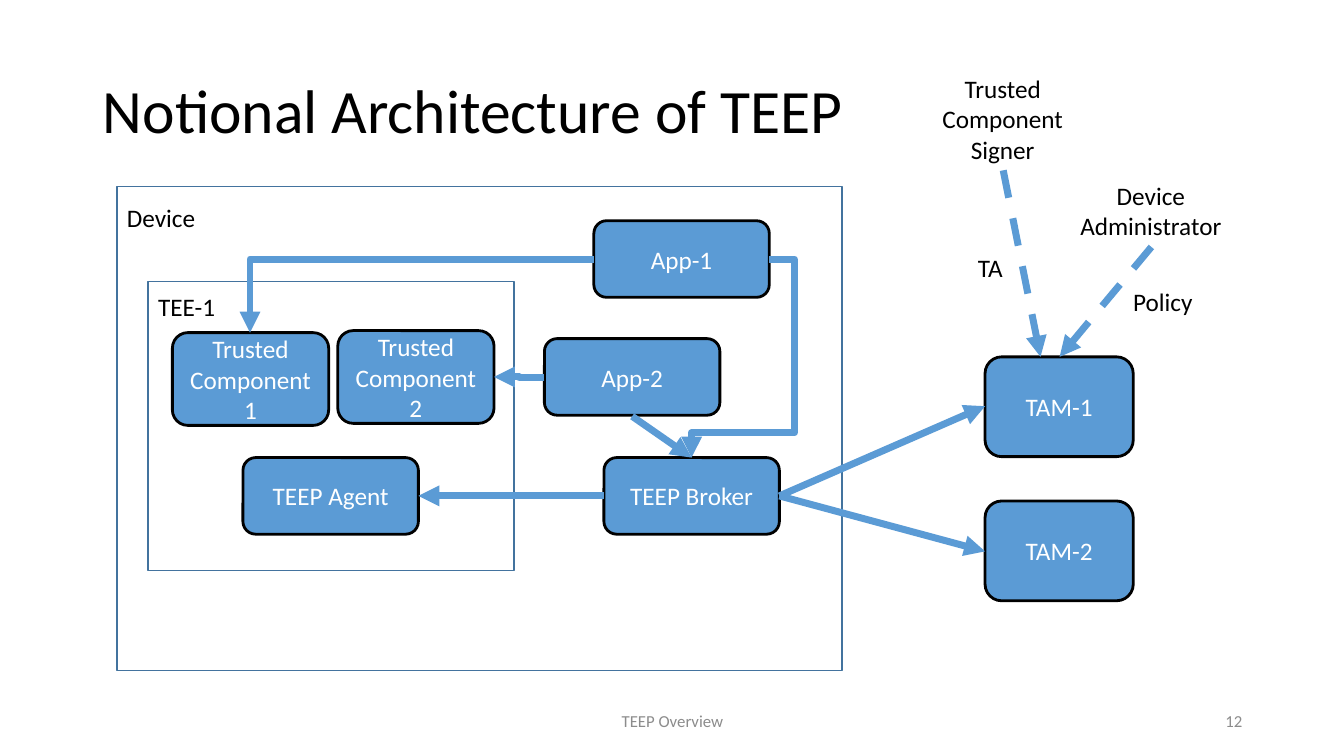
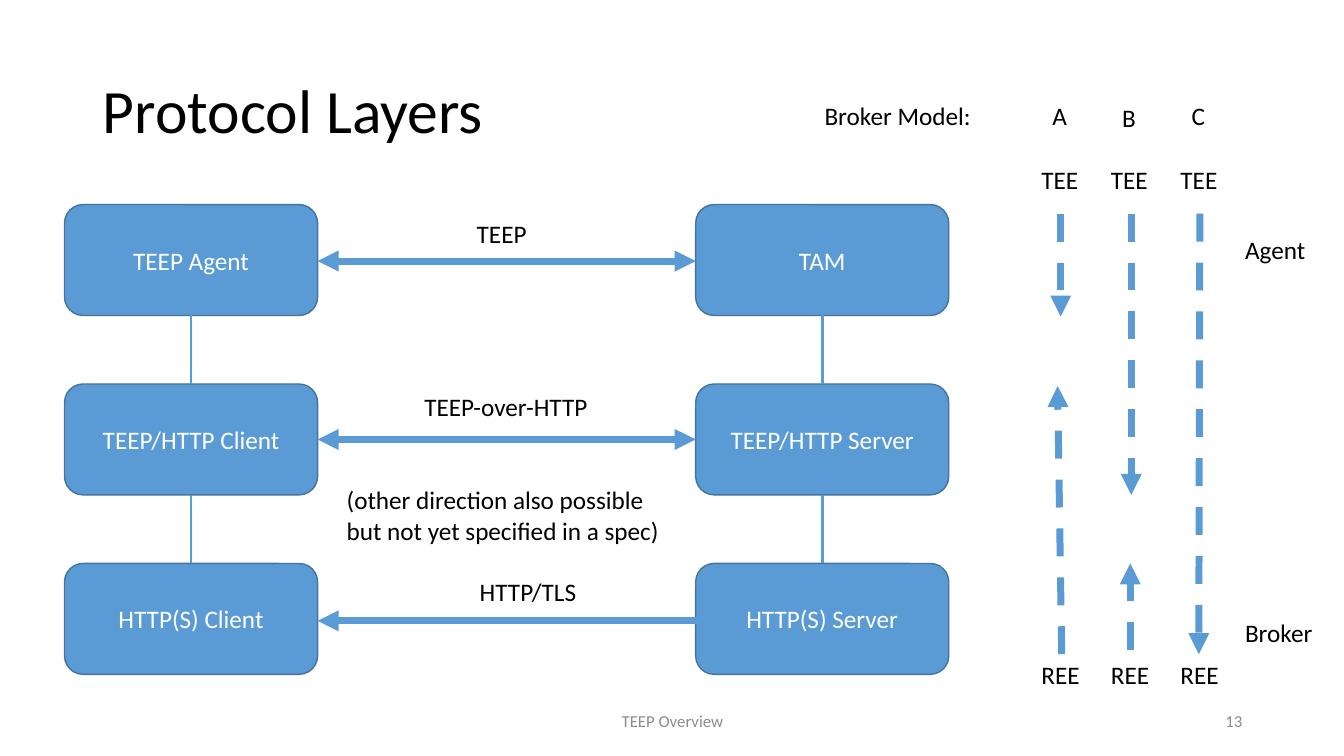
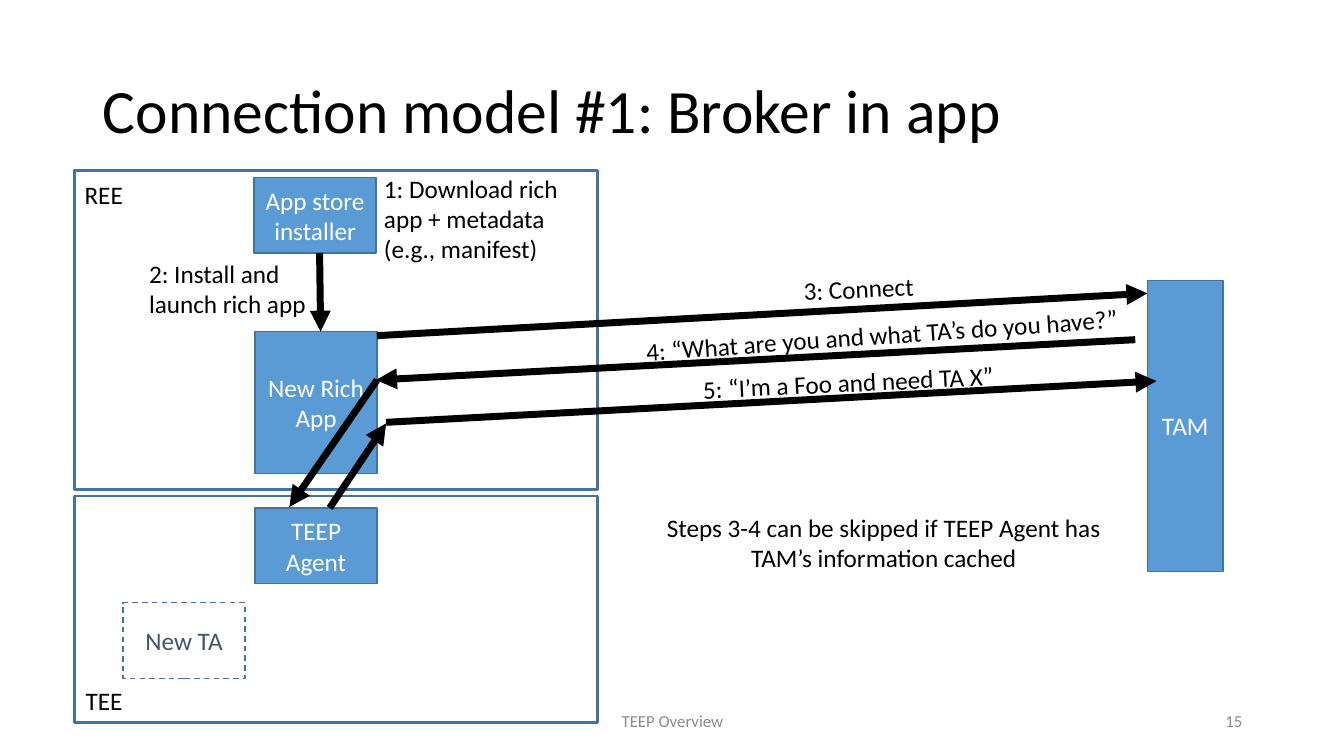
import dataclasses

import lxml.etree
import pptx
import pptx.dml.color
import pptx.enum.dml
import pptx.enum.shapes
import pptx.enum.text
import pptx.oxml.ns
import pptx.util

Inches = pptx.util.Inches
Pt = pptx.util.Pt
Color = pptx.dml.color.RGBColor.from_string
Align = pptx.enum.text.PP_ALIGN
Anchor = pptx.enum.text.MSO_ANCHOR
Form = pptx.enum.shapes.MSO_SHAPE
DASH = pptx.enum.dml.MSO_LINE.DASH
qn = pptx.oxml.ns.qn


@dataclasses.dataclass(frozen=True)
class Theme:
    font: str = "Calibri"
    blue: str = "5B9BD5"
    edge: str = "43739E"
    ink: str = "000000"
    white: str = "FFFFFF"
    slate: str = "44546A"
    gray: str = "8C8C8C"
    title_size: int = 44
    body_size: int = 18
    footer_size: int = 12
    arrow_width: int = 5


theme = Theme()


def add_box(page, words, at, form=None, fill=None, edge=theme.edge, weight=1,
            dash=None, color=theme.ink, size=theme.body_size, align=Align.CENTER,
            anchor=Anchor.MIDDLE, wrap=True, turn=0, top=0.05):
    """Add a shape with centred text, or a plain text box when form is None."""
    place = [Inches(length) for length in at]
    if form is None:
        box = page.shapes.add_textbox(*place)
    else:
        box = page.shapes.add_shape(form, *place)
        box.shadow.inherit = False
        box.line.color.rgb = Color(edge)
        box.line.width = Pt(weight)
        if dash:
            box.line.dash_style = dash
        if fill:
            box.fill.solid()
            box.fill.fore_color.rgb = Color(fill)
        else:
            box.fill.background()
    box.rotation = turn
    frame = box.text_frame
    frame.text = words
    frame.word_wrap = wrap
    frame.vertical_anchor = anchor
    frame.margin_top = Inches(top)
    for para in frame.paragraphs:
        para.alignment = align
        for span in para.runs:
            span.font.name = theme.font
            span.font.size = Pt(size)
            span.font.color.rgb = Color(color)


def add_line(page, start, end, color=theme.blue, weight=theme.arrow_width,
             dash=None, ends=("tail",), bend=None, adjust=()):
    """Add a straight or bent connector; ends names the arrowheads."""
    kinds = pptx.enum.shapes.MSO_CONNECTOR
    line = page.shapes.add_connector(
        kinds.ELBOW if bend else kinds.STRAIGHT,
        *[Inches(length) for length in (*start, *end)])
    line.line.color.rgb = Color(color)
    line.line.width = Pt(weight)
    if dash:
        line.line.dash_style = dash
    properties = line.element.spPr
    for name in ends:
        lxml.etree.SubElement(properties.find(qn("a:ln")), qn(f"a:{name}End"),
                              type="triangle")
    if bend:
        geometry = properties.find(qn("a:prstGeom"))
        geometry.set("prst", bend)
        guides = geometry.find(qn("a:avLst"))
        for number, value in enumerate(adjust, 1):
            lxml.etree.SubElement(guides, qn("a:gd"), name=f"adj{number}",
                                  fmla=f"val {value}")
    lxml.etree.SubElement(properties, qn("a:effectLst"))


deck = pptx.Presentation()
deck.slide_width = Inches(13.33)
deck.slide_height = Inches(7.5)

# Titles, footers and page numbers
pages = []
for title_words, number in [("Notional Architecture of TEEP", "12"),
                            ("Protocol Layers", "13"),
                            ("Connection model #1: Broker in app", "15")]:
    page = deck.slides.add_slide(deck.slide_layouts[5])
    pages.append(page)
    title = page.shapes.title
    title.left, title.top = Inches(0.92), Inches(0.4)
    title.width, title.height = Inches(11.5), Inches(1.45)
    title.text_frame.text = title_words
    title.text_frame.auto_size = pptx.enum.text.MSO_AUTO_SIZE.NONE
    title.text_frame.vertical_anchor = Anchor.MIDDLE
    para = title.text_frame.paragraphs[0]
    para.alignment = Align.LEFT
    para.line_spacing = 0.9
    span = para.runs[0]
    span.font.name = theme.font
    span.font.size = Pt(theme.title_size)
    span.font.color.rgb = Color(theme.ink)
    footer = dict(color=theme.gray, size=theme.footer_size)
    add_box(page, "TEEP Overview", (4.42, 6.95, 4.5, 0.4), **footer)
    add_box(page, number, (9.42, 6.95, 3, 0.4), align=Align.RIGHT, **footer)

architecture, layers, connection = pages
label = dict(align=Align.LEFT, anchor=Anchor.TOP, wrap=False)
caption = dict(anchor=Anchor.TOP)

# Architecture: device and TEE frames
for words, at, top in [("Device", (1.16, 1.85, 7.19, 4.8), 0.16),
                       ("TEE-1", (1.47, 2.79, 3.63, 2.87), 0.1)]:
    add_box(architecture, words, at, Form.RECTANGLE, align=Align.LEFT,
            anchor=Anchor.TOP, top=top)

# Architecture: components
module_size, component_size, tam_size = (1.74, 0.76), (1.55, 0.92), (1.47, 0.99)
for words, corner, extent in [
        ("TAM-1", (9.77, 3.54), tam_size),
        ("TAM-2", (9.77, 4.97), tam_size),
        ("TEEP Agent", (2.41, 4.54), module_size),
        ("TEEP Broker", (5.99, 4.54), module_size),
        ("App-1", (5.89, 2.19), module_size),
        ("App-2", (5.4, 3.36), module_size),
        ("Trusted Component 1", (1.71, 3.3), component_size),
        ("Trusted Component 2", (3.35, 3.28), component_size)]:
    add_box(architecture, words, corner + extent, Form.ROUNDED_RECTANGLE,
            theme.blue, theme.ink, 2, color=theme.white)

# Architecture: straight and bent arrows
broker_top, broker_right = (6.86, 4.54), (7.73, 4.92)
for start, end in [(broker_right, (9.77, 4.03)), (broker_right, (9.77, 5.47)),
                   ((5.99, 4.92), (4.15, 4.92)), ((6.27, 4.13), broker_top)]:
    add_line(architecture, start, end)
for start, end, bend, adjust in [
        ((5.89, 2.57), (2.48, 3.3), "bentConnector2", ()),
        ((5.4, 3.75), (4.9, 3.74), "bentConnector3", ()),
        ((7.63, 2.57), broker_top, "bentConnector4", (-32400, 87500))]:
    add_line(architecture, start, end, bend=bend, adjust=adjust)

# Architecture: outside parties
add_box(architecture, "Device\nAdministrator", (10.61, 1.74, 1.61, 0.71), **caption)
add_box(architecture, "Trusted Component Signer", (9.14, 0.68, 1.61, 1.01), **caption)
add_box(architecture, "TA", (9.6, 2.45, 0.45, 0.4), **label)
add_box(architecture, "Policy", (11.14, 2.79, 0.8, 0.4), **label)
add_line(architecture, (11.42, 2.45), (10.51, 3.54), dash=DASH)
add_line(architecture, (9.95, 1.69), (10.32, 3.54), dash=DASH)

# Layers: two stacks, linked downwards
layer_top, layer_step, layer_height = 2.03, 1.78, 1.1
for left, names in [(0.64, ("TEEP Agent", "TEEP/HTTP Client", "HTTP(S) Client")),
                    (6.9, ("TAM", "TEEP/HTTP Server", "HTTP(S) Server"))]:
    middle = left + 2.51 / 2
    for row, words in enumerate(names):
        top = layer_top + row * layer_step
        add_box(layers, words, (left, top, 2.51, layer_height),
                Form.ROUNDED_RECTANGLE, theme.blue, color=theme.white)
        if row:
            add_line(layers, (middle, top - layer_step + layer_height),
                     (middle, top), weight=2, ends=())

# Layers: protocols between the stacks
for height, right in [(2.59, 6.9), (4.36, 6.9), (6.16, 7.24)]:
    add_line(layers, (3.15, height), (right, height), ends=("head", "tail"))
for words, at in [
        ("TEEP", (4.63, 2.12, 0.7, 0.4)),
        ("TEEP-over-HTTP", (4.11, 3.83, 1.85, 0.4)),
        ("(other direction also possible\nbut not yet specified in a spec)",
         (3.34, 4.76, 3.37, 0.71)),
        ("HTTP/TLS", (4.66, 5.67, 1.17, 0.4)),
        ("Broker Model:", (8.08, 0.95, 1.67, 0.4)),
        ("Agent", (12.25, 2.28, 0.81, 0.4)),
        ("Broker", (12.25, 6.08, 0.88, 0.4))]:
    add_box(layers, words, at, **label)

# Layers: broker models
for column, (model, top) in enumerate([("A", 0.95), ("B", 0.97), ("C", 0.95)]):
    left = 10.23 + column * 0.69
    add_box(layers, model, (left + 0.11, top, 0.35, 0.4), **label)
    add_box(layers, "TEE", (left, 1.58, 0.57, 0.4), **label)
    add_box(layers, "REE", (left, 6.49, 0.58, 0.4), **label)
for start, end in [((10.52, 2.12), (10.52, 3.14)), ((11.22, 2.12), (11.22, 4.91)),
                   ((11.9, 2.12), (11.89, 6.49)), ((10.53, 6.49), (10.49, 3.83)),
                   ((11.21, 6.45), (11.21, 5.59))]:
    add_line(layers, start, end, dash=DASH)

# Connection: blocks, frames and the new TA
for words, at in [("TAM", (11.38, 2.78, 0.75, 2.89)),
                  ("App store installer", (2.52, 1.76, 1.21, 0.75)),
                  ("New Rich App", (2.53, 3.29, 1.21, 1.41)),
                  ("TEEP Agent", (2.53, 5.04, 1.21, 0.75))]:
    add_box(connection, words, at, Form.RECTANGLE, theme.blue, color=theme.white)
for top, height in [(1.69, 3.17), (4.92, 2.25)]:
    add_box(connection, "", (0.74, top, 5.19, height), Form.RECTANGLE, weight=2)
add_box(connection, "New TA", (1.22, 5.98, 1.21, 0.75), Form.RECTANGLE,
        dash=DASH, color=theme.slate)

# Connection: message arrows
for start, end in [((3.17, 2.51), (3.18, 3.29)), ((3.74, 3.33), (11.38, 2.91)),
                   ((11.26, 3.37), (3.73, 3.77)), ((3.74, 3.77), (2.87, 5.03)),
                   ((3.83, 4.19), (11.47, 3.78)), ((3.27, 5.04), (3.83, 4.2))]:
    add_line(connection, start, end, theme.ink)

# Connection: labels and steps
for words, at in [
        ("TEE", (0.75, 6.75, 0.57, 0.4)),
        ("REE", (0.74, 1.73, 0.58, 0.4)),
        ("1: Download rich\vapp + metadata\v(e.g., manifest)", (3.71, 1.67, 1.95, 1.01)),
        ("2: Install and\vlaunch rich app", (1.38, 2.51, 1.78, 0.71))]:
    add_box(connection, words, at, **label)
for words, at, turn in [
        ("3: Connect", (6.47, 2.66, 4.09, 0.4), 357.2),
        ("4: “What are you and what TA’s do you have?”", (6.24, 3.12, 5.01, 0.4), 356),
        ("5: “I’m a Foo and need TA X”", (6.1, 3.59, 4.62, 0.4), 357.2),
        ("Steps 3-4 can be skipped if TEEP Agent has TAM’s information cached",
         (6.43, 5.03, 4.67, 0.71), 0)]:
    add_box(connection, words, at, turn=turn, **caption)

deck.save("out.pptx")
